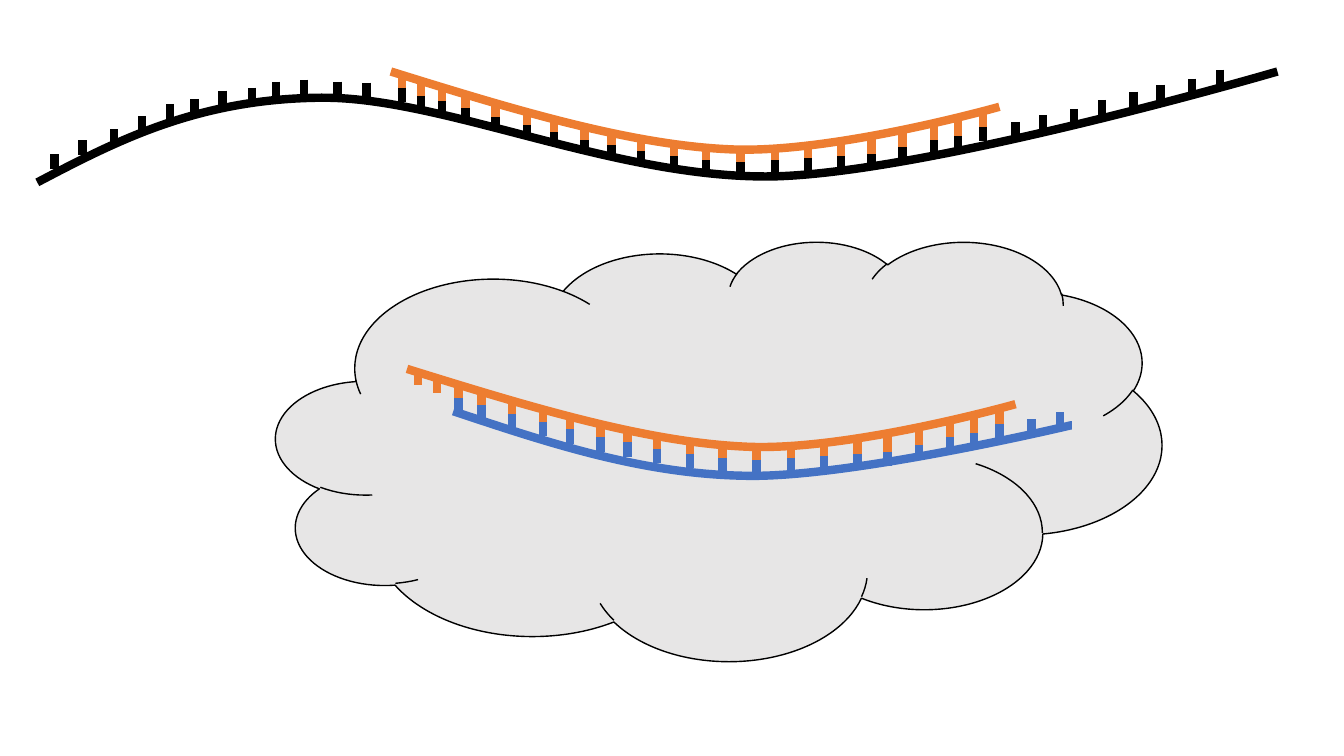
import lxml.etree
import pptx
import pptx.dml.color
import pptx.enum.shapes
import pptx.oxml.ns
import pptx.util

PX = 9144  # EMU per px, 100 px to the inch
SLIDE = (1334, 750)
COLORS = {"black": "000000", "orange": "ED7D31", "blue": "4472C4", "cloud": "E7E6E6"}
STRAND_WIDTH = 6
RUNG, PAIR = 15, 29  # height of one rung, and of two joined rungs

CLOUD = (274, 239, 879, 416)

# Strands: start point, then two control points and an end point per curve
LONG_STRAND = [(37, 181), (117, 139), (197, 98), (319, 97), (441, 96), (613, 179),
               (771, 175), (929, 170), (1268, 71), (1268, 71)]
SHORT_STRAND = [(388, 71), (504, 107), (621, 143), (721, 148), (822, 154), (992, 106),
                (992, 106)]
BLUE_STRAND = [(450, 408), (543, 439), (636, 470), (738, 472), (840, 475), (1063, 422),
               (1063, 422)]
BLUE_TIP = (1064, 422)
CLOUD_SHIFT = (16, 295)  # from the upper short strand to the one in the cloud

# Rungs: x and top
SHORT_RUNGS = [(399, 72), (418, 80), (439, 85), (462, 92), (492, 101), (523, 109),
               (550, 116), (580, 124), (607, 129), (636, 135), (669, 140), (701, 144),
               (735, 146), (769, 144), (802, 142), (835, 140), (865, 138), (896, 131),
               (927, 124), (951, 120), (976, 111)]
LONG_RUNGS = [(54, 153), (82, 139), (113, 128), (141, 115), (169, 103), (193, 98),
              (221, 90), (250, 87), (274, 81), (302, 79), (335, 81), (364, 82),
              (1008, 121), (1035, 114), (1066, 108), (1094, 99), (1125, 91),
              (1152, 84), (1183, 78), (1211, 69)]
BLUE_RUNGS = [(1024, 416), (1052, 409)]
UNPAIRED = 2  # rungs at the left of the strand in the cloud


def emu(*lengths):
    return [length * PX for length in lengths]


def shift(points):
    return [(x + CLOUD_SHIFT[0], y + CLOUD_SHIFT[1]) for x, y in points]


def set_line(line, color, width):
    line.color.rgb = pptx.dml.color.RGBColor.from_string(COLORS[color])
    line.width = pptx.util.Pt(width)


def bend(strand, knots):
    """Turn the straight pieces between the knots into Bézier curves."""
    qn = pptx.oxml.ns.qn
    pieces = list(strand._element.iter(qn("a:lnTo")))
    for piece, first in zip(pieces, range(1, len(knots), 3)):
        curve = lxml.etree.Element(qn("a:cubicBezTo"))
        for point in knots[first:first + 3]:
            x, y = emu(*point)
            lxml.etree.SubElement(curve, qn("a:pt"), x=str(x - strand.left),
                                  y=str(y - strand.top))
        piece.getparent().replace(piece, curve)


def add_strand(page, knots, color, tip=()):
    points = [emu(*point) for point in knots[::3] + list(tip)]
    builder = page.shapes.build_freeform(*points[0])
    builder.add_line_segments(points[1:], close=False)
    strand = builder.convert_to_shape()
    bend(strand, knots)
    strand.shadow.inherit = False
    strand.fill.background()
    set_line(strand.line, color, STRAND_WIDTH)


def add_rung(page, x, top, bottom, color):
    rung = page.shapes.add_connector(pptx.enum.shapes.MSO_CONNECTOR.STRAIGHT,
                                     *emu(x, top, x, bottom))
    set_line(rung.line, color, STRAND_WIDTH)
    lxml.etree.SubElement(rung._element.spPr, pptx.oxml.ns.qn("a:effectLst"))


def add_rungs(page, rungs, color):
    for x, top in rungs:
        add_rung(page, x, top, top + RUNG, color)


def add_pairs(page, rungs, lower_color):
    add_rungs(page, rungs, "orange")
    for x, top in rungs:
        add_rung(page, x, top + RUNG, top + PAIR, lower_color)


def main():
    deck = pptx.Presentation()
    deck.slide_width, deck.slide_height = emu(*SLIDE)
    page = deck.slides.add_slide(deck.slide_layouts[6])

    # Cloud
    cloud = page.shapes.add_shape(pptx.enum.shapes.MSO_SHAPE.CLOUD, *emu(*CLOUD))
    cloud.shadow.inherit = False
    cloud.fill.solid()
    cloud.fill.fore_color.rgb = pptx.dml.color.RGBColor.from_string(COLORS["cloud"])
    set_line(cloud.line, "black", 1)

    # Long strand with the short strand bound to it
    add_strand(page, LONG_STRAND, "black")
    add_strand(page, SHORT_STRAND, "orange")
    add_pairs(page, SHORT_RUNGS, "black")
    add_rungs(page, LONG_RUNGS, "black")

    # Short strand in the cloud, bound to the blue strand
    cloud_rungs = shift(SHORT_RUNGS)
    add_strand(page, shift(SHORT_STRAND), "orange")
    add_rungs(page, cloud_rungs[:UNPAIRED], "orange")
    add_pairs(page, cloud_rungs[UNPAIRED:], "blue")
    add_rungs(page, BLUE_RUNGS, "blue")
    add_strand(page, BLUE_STRAND, "blue", [BLUE_TIP])

    deck.save("out.pptx")


if __name__ == "__main__":
    main()
